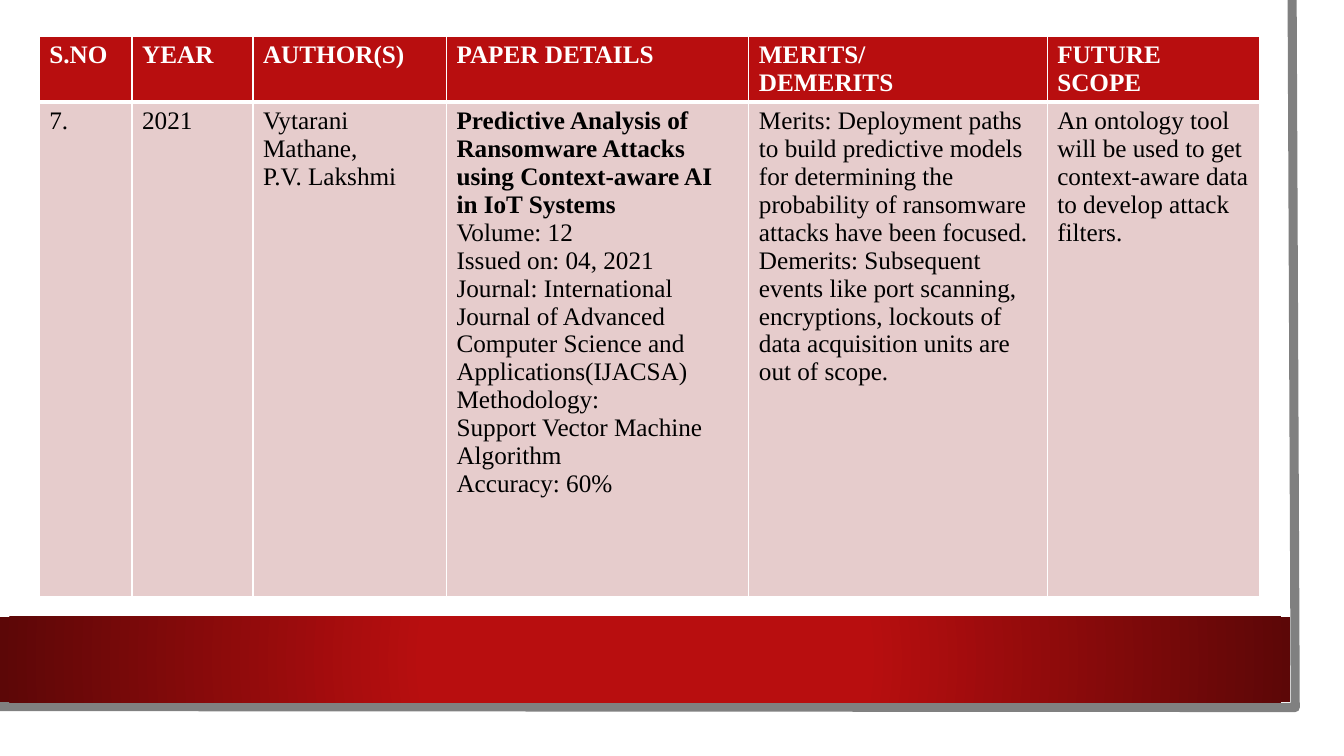
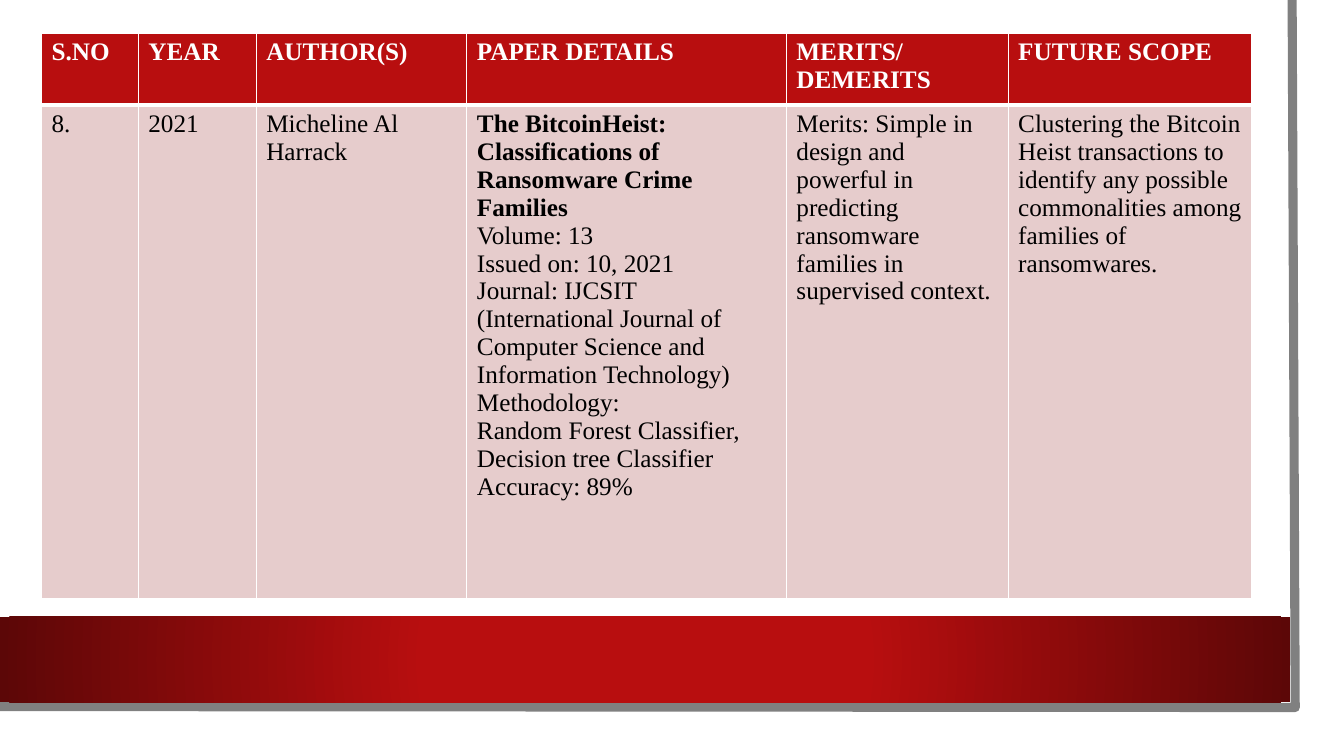
from lxml import etree
from pptx import Presentation
from pptx import util as u
from pptx.dml.color import RGBColor
from pptx.enum import shapes
from pptx.oxml import parse_xml
from pptx.oxml.ns import nsdecls, qn

Pt = u.Pt
RED, DARK, PINK = "B80E0F", "5C0707", "E6CCCC"
WHITE, BLACK, GREY = "FFFFFF", "000000", "808080"
FONT, SIZE = "Times New Roman", 18
HEADS = ["S.NO", "YEAR", "AUTHOR(S)", "PAPER DETAILS",
         "MERITS/\nDEMERITS", "FUTURE SCOPE"]
PAPER = 3  # column whose first line is the bold title


def color(code):
    return RGBColor.from_string(code)


class Deck:
    def __init__(self):
        self.prs = Presentation()
        self.prs.slide_width = Pt(960)
        self.prs.slide_height = Pt(540)
        self.slide = None

    def start(self):
        """Add a slide with the white panel, grey edge and red band."""
        self.slide = self.prs.slides.add_slide(self.prs.slide_layouts[6])
        self.rect(0, 0, 943.2, 523.4, WHITE)
        self.edge([(923, 0), (925.2, 505.4), (-2, 504.7)])
        self.glow(self.rect(0, 440.6, 921.6, 61.2, RED))

    def rect(self, x, y, w, h, fill):
        box = self.slide.shapes.add_shape(
            shapes.MSO_SHAPE.RECTANGLE, Pt(x), Pt(y), Pt(w), Pt(h))
        box.shadow.inherit = False
        box.fill.solid()
        box.fill.fore_color.rgb = color(fill)
        box.line.fill.background()
        return box

    def glow(self, box):
        """Fill a box with red that darkens away from its centre."""
        box.fill.gradient()
        for stop, pos, code in zip(box.fill.gradient_stops, (0.34, 1), (RED, DARK)):
            stop.position = pos
            stop.color.rgb = color(code)
        grad = box.element.spPr.find(qn("a:gradFill"))
        way = etree.Element(qn("a:path"), path="circle")
        etree.SubElement(way, qn("a:fillToRect"),
                         {side: "50000" for side in "ltrb"})
        grad.replace(grad.find(qn("a:lin")), way)

    def edge(self, points):
        first, *rest = [(Pt(x), Pt(y)) for x, y in points]
        path = self.slide.shapes.build_freeform(*first, scale=1.0)
        path.add_line_segments(rest, close=False)
        line = path.convert_to_shape()
        line.shadow.inherit = False
        line.fill.background()
        line.line.color.rgb = color(GREY)
        line.line.width = Pt(6.5)

    def table(self, x, y, widths, heights, rows):
        frame = self.slide.shapes.add_table(
            len(rows), len(widths), Pt(x), Pt(y), Pt(sum(widths)), Pt(sum(heights)))
        grid = frame.table
        grid.horz_banding = False
        for col, width in zip(grid.columns, widths):
            col.width = Pt(width)
        for r, (row, height) in enumerate(zip(rows, heights)):
            grid.rows[r].height = Pt(height)
            for c, words in enumerate(row):
                self.cell(grid.cell(r, c), words, r == 0, c == PAPER)

    def cell(self, cell, words, head, paper):
        top, bottom = (1, 3) if head else (3, 1)
        self.border(cell, L=1, R=1, T=top, B=bottom)
        cell.fill.solid()
        cell.fill.fore_color.rgb = color(RED if head else PINK)
        cell.text = words
        for i, para in enumerate(cell.text_frame.paragraphs):
            font = para.font
            font.name, font.size = FONT, Pt(SIZE)
            font.bold = head or (paper and i == 0)
            font.color.rgb = color(WHITE if head else BLACK)

    def border(self, cell, **sides):
        props = cell._tc.get_or_add_tcPr()
        for side, width in sides.items():
            props.append(parse_xml(
                f'<a:ln{side} {nsdecls("a")} w="{Pt(width)}"><a:solidFill>'
                f'<a:srgbClr val="{WHITE}"/></a:solidFill></a:ln{side}>'))


def main():
    deck = Deck()
    deck.start()
    deck.table(28.1, 25.9, [66.24, 86.4, 138.24, 216, 213.12, 151.92], [46.8, 352.8], [
        HEADS,
        ["7.", "2021", "Vytarani Mathane,\nP.V. Lakshmi",
         "Predictive Analysis of Ransomware Attacks using Context-aware AI in IoT Systems\n"
         "Volume: 12\nIssued on: 04, 2021\n"
         "Journal: International Journal of Advanced Computer Science and "
         "Applications(IJACSA)\n"
         "Methodology:\nSupport Vector Machine Algorithm\nAccuracy: 60%",
         "Merits: Deployment paths to build predictive models for determining the "
         "probability of ransomware attacks have been focused.\n"
         "Demerits: Subsequent events like port scanning, encryptions, lockouts of "
         "data acquisition units are out of scope.",
         "An ontology tool will be used to get context-aware data to develop "
         "attack filters."]])
    deck.start()
    deck.table(29.7, 23.9, [69.12, 84.24, 150.48, 228.24, 158.4, 174.24], [51.1, 352.8], [
        HEADS,
        ["8.", "2021", "Micheline Al Harrack",
         "The BitcoinHeist: Classifications of Ransomware Crime Families\n"
         "Volume: 13\nIssued on: 10, 2021\n"
         "Journal: IJCSIT (International Journal of Computer Science and "
         "Information Technology)\n"
         "Methodology:\nRandom Forest Classifier,\nDecision tree Classifier\n"
         "Accuracy: 89%",
         "Merits: Simple in design and powerful in predicting ransomware families "
         "in supervised context.",
         "Clustering the Bitcoin Heist transactions to identify any possible "
         "commonalities among families of ransomwares."]])
    deck.prs.save("out.pptx")


if __name__ == "__main__":
    main()
